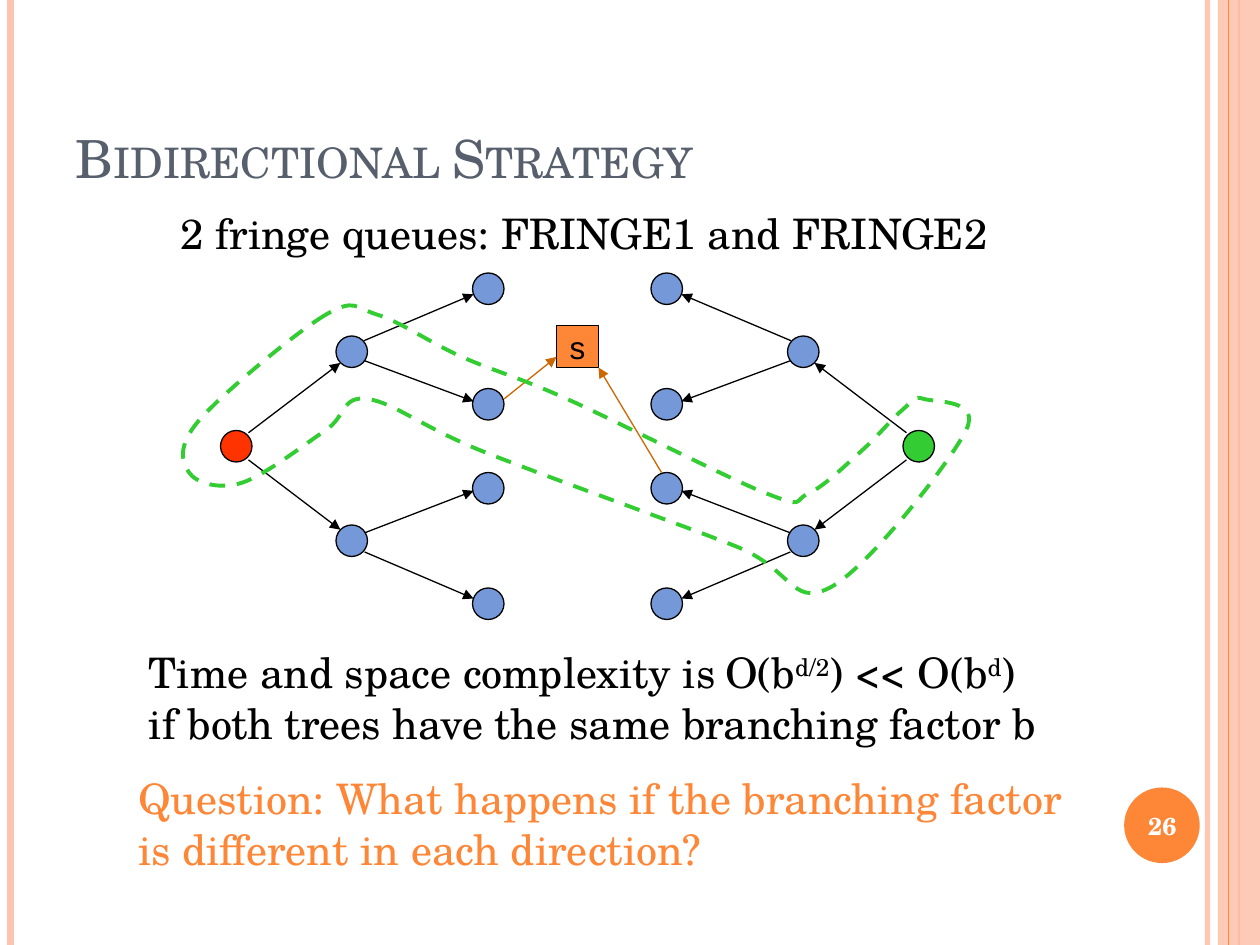
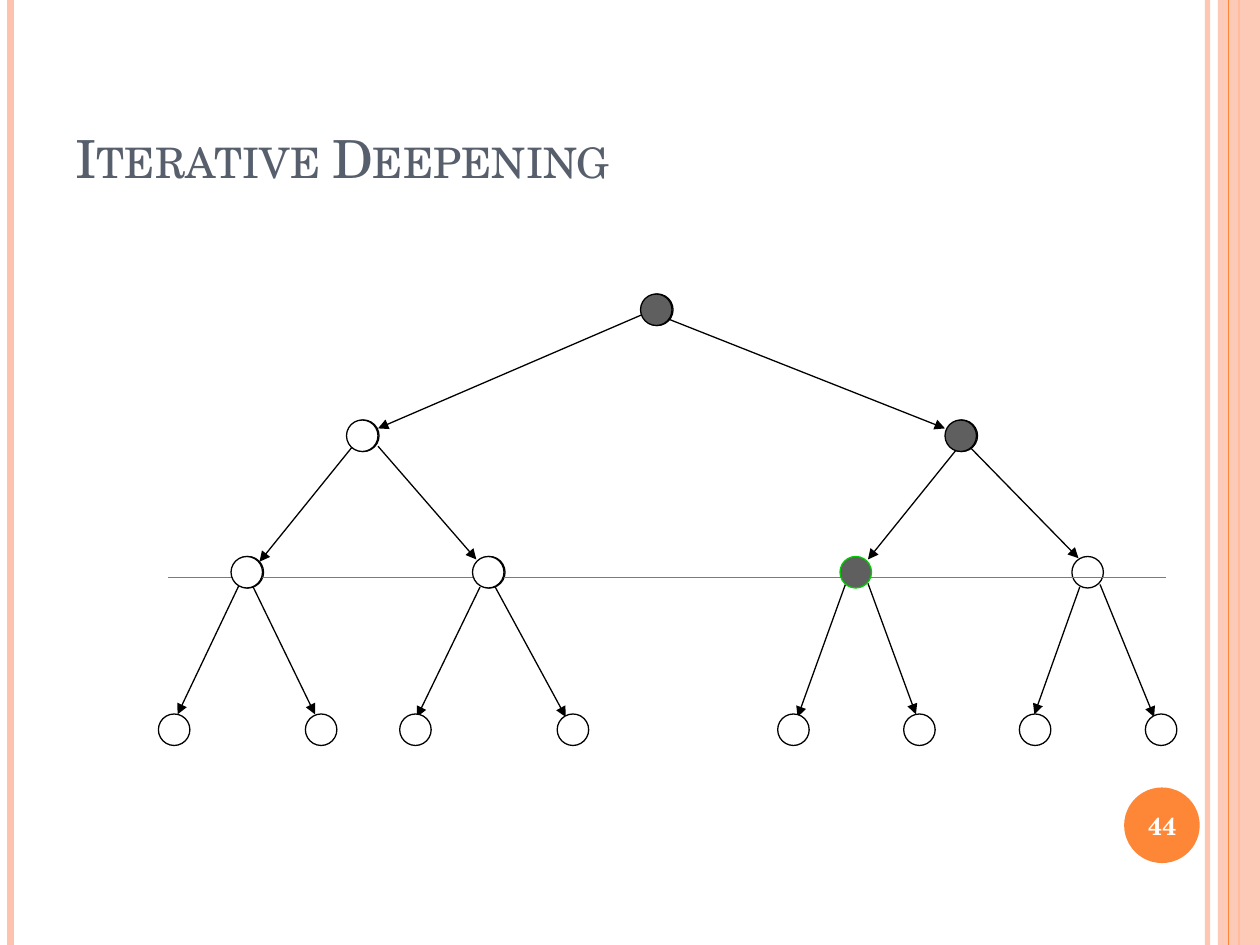
from dataclasses import dataclass
from typing import Optional

from lxml import etree
from pptx import Presentation
from pptx.dml.color import RGBColor
from pptx.enum import dml, shapes, text
from pptx.oxml.ns import qn
from pptx.util import Pt

BLACK = RGBColor(0, 0, 0)
WHITE = RGBColor(0xFF, 0xFF, 0xFF)
ORANGE = RGBColor(0xFE, 0x86, 0x37)
PEACH = RGBColor(0xFE, 0xC3, 0xAE)
SLATE = RGBColor(0x57, 0x5F, 0x6D)
BLUE = RGBColor(0x75, 0x98, 0xD9)
RED = RGBColor(0xFF, 0x33, 0x00)
GREEN = RGBColor(0x33, 0xCC, 0x33)
GOAL_GREEN = RGBColor(0x00, 0xCC, 0x00)
RUST = RGBColor(0xCC, 0x66, 0x00)
LIMIT_BROWN = RGBColor(0xD2, 0x61, 0x1C)
GRAY = RGBColor(0x5F, 0x5F, 0x5F)

SERIF = "TeX Gyre Schola"
SLIDE_W, SLIDE_H = 720, 540
RADIUS = 9
THIN = 0.75

Point = tuple[float, float]


@dataclass(frozen=True)
class Node:
    x: float
    y: float
    fill: Optional[RGBColor] = BLUE
    outline: RGBColor = BLACK


@dataclass(frozen=True)
class Rule:
    x: float
    color: RGBColor
    width: float
    opacity: int = 100


@dataclass(frozen=True)
class Part:
    text: str
    raised: bool = False
    size: Optional[float] = None


RULES = [Rule(690, PEACH, 3, 93), Rule(6, PEACH, 4.5), Rule(708, ORANGE, 1.5)]
BAND_RULE = Rule(702, ORANGE, THIN)

# Left half of the search space; the right half is its reflection.
MIRROR_X = 660
TREE_NODES = [Node(x, y) for x, ys in [(201, (201, 309)), (279, (165, 231, 279, 345))]
              for y in ys]
TREE_EDGES = [
    ((142, 247.3), (194.5, 207.4)), ((142, 262.8), (194.5, 302.7)),
    ((208, 194.7), (270.6, 168.2)), ((208, 206), (270.6, 229.3)),
    ((208.3, 304.5), (270.6, 280.5)), ((208.3, 315.4), (270.6, 342)),
]

LOOP_BOX = (100.8, 170, 460, 177)
LOOP_ANCHORS = [
    (186, 180), (114, 240), (108, 270), (138, 276), (186, 246), (210, 228),
    (276, 258), (420, 312), (474, 336), (552, 246), (528, 228), (516, 234),
    (492, 258), (462, 282), (438, 282), (324, 228), (264, 204), (216, 180),
]

# Visited nodes lie in front of the depth limit, the others behind it.
FRONT_NODES = [
    Node(375, 177, GRAY), Node(141, 327, WHITE), Node(207, 249, WHITE),
    Node(279, 327, WHITE), Node(549, 249, GRAY), Node(489, 327, GRAY, GOAL_GREEN),
]
BACK_NODES = [Node(621.5, 327, None)] + [
    Node(x, 417, WHITE) for x in (99.5, 183.5, 237.4, 327.4, 453.4, 525.4, 591.5, 663.5)]
ECHO_SHIFT = 0.6
DEEPENING_EDGES = [
    ((366.5, 180), (216, 244.8)), ((381.6, 182.2), (540, 244.8)),
    ((201.6, 255), (148.3, 321)), ((216, 255), (272.2, 319.7)),
    ((555, 256.3), (616.3, 319)), ((546.5, 257), (496, 319.7)),
    ((136.8, 334), (101.5, 408.2)), ((144.7, 335.5), (180, 408.2)),
    ((274.3, 335.5), (238.3, 409.7)), ((283, 335.5), (323.3, 409.7)),
    ((617, 335.5), (591.1, 408.2)), ((628.6, 334), (659.5, 409.7)),
    ((483.1, 334), (455.8, 409.7)), ((496, 333.4), (523.4, 408.2)),
]


def set_opacity(sp, percent: int) -> None:
    for color in sp._element.spPr.iter(qn("a:srgbClr")):
        etree.SubElement(color, qn("a:alpha")).set("val", str(percent * 1000))


def add_box(slide, kind, left: float, top: float, width: float, height: float,
            fill: Optional[RGBColor], outline: Optional[RGBColor] = None):
    sp = slide.shapes.add_shape(kind, Pt(left), Pt(top), Pt(width), Pt(height))
    sp.shadow.inherit = False
    if fill is None:
        sp.fill.background()
    else:
        sp.fill.solid()
        sp.fill.fore_color.rgb = fill
    if outline is None:
        sp.line.fill.background()
    else:
        sp.line.color.rgb = outline
        sp.line.width = Pt(THIN)
    return sp


def add_line(slide, start: Point, end: Point, color: RGBColor = BLACK,
             width: float = THIN, arrow: bool = False):
    line = slide.shapes.add_connector(
        shapes.MSO_CONNECTOR.STRAIGHT, *(Pt(v) for v in (*start, *end)))
    line.line.color.rgb = color
    line.line.width = Pt(width)
    spPr = line._element.spPr
    if arrow:
        etree.SubElement(spPr.find(qn("a:ln")), qn("a:tailEnd")).set("type", "triangle")
    etree.SubElement(spPr, qn("a:effectLst"))
    return line


def add_rule(slide, rule: Rule):
    line = add_line(slide, (rule.x, 0), (rule.x, SLIDE_H), rule.color, rule.width)
    if rule.opacity < 100:
        set_opacity(line, rule.opacity)
    return line


def add_node(slide, node: Node, shift: float = 0) -> None:
    add_box(slide, shapes.MSO_SHAPE.OVAL, node.x - RADIUS + shift, node.y - RADIUS,
            2 * RADIUS, 2 * RADIUS, node.fill, node.outline)


def style(p, size: float, color: RGBColor, name: str = SERIF, bold: bool = False) -> None:
    p.font.size = Pt(size)
    p.font.name = name
    p.font.color.rgb = color
    p.font.bold = bold


def add_text(slide, left: float, top: float, width: float, height: float,
             lines: list[list[Part]], color: RGBColor) -> None:
    tf = slide.shapes.add_textbox(Pt(left), Pt(top), Pt(width), Pt(height)).text_frame
    tf.word_wrap = False
    tf.auto_size = text.MSO_AUTO_SIZE.SHAPE_TO_FIT_TEXT
    p = tf.paragraphs[0]
    style(p, 24, color)
    for row, line in enumerate(lines):
        if row:
            p.add_line_break()
        for part in line:
            r = p.add_run()
            r.text = part.text
            if part.size:
                r.font.size = Pt(part.size)
            if part.raised:
                r._r.get_or_add_rPr().set("baseline", "30000")


def decorate_layout(layout, slide) -> None:
    """Draw the side bands and number disc, then hand them over to the layout."""
    title, *unused = layout.placeholders
    for placeholder in unused:
        layout.shapes.element.remove(placeholder.element)
    title.left, title.top, title.width, title.height = Pt(36), Pt(21.6), Pt(588), Pt(90)
    title.text_frame.vertical_anchor = text.MSO_ANCHOR.BOTTOM
    title.text_frame.auto_size = text.MSO_AUTO_SIZE.NONE

    parts = [add_rule(slide, rule) for rule in RULES]
    band = add_box(slide, shapes.MSO_SHAPE.RECTANGLE, 696, 0, SLIDE_W - 696, SLIDE_H, PEACH)
    set_opacity(band, 87)
    disc = add_box(slide, shapes.MSO_SHAPE.OVAL, 642.4, 450, 43.2, 43.2, ORANGE)
    parts += [band, add_rule(slide, BAND_RULE), disc]
    for number, part in enumerate(parts, 100):
        part._element.xpath(".//p:cNvPr")[0].set("id", str(number))
        layout.shapes.element.append(part._element)


def fill_frame(slide, title: str, number: int) -> None:
    slide.shapes.title.text = title
    p = slide.shapes.title.text_frame.paragraphs[0]
    p.alignment = text.PP_ALIGN.LEFT
    style(p, 30, SLATE)
    p._p.pPr.find(qn("a:defRPr")).set("cap", "small")

    tf = slide.shapes.add_textbox(Pt(640.2), Pt(451.4), Pt(48), Pt(41)).text_frame
    tf.word_wrap = True
    tf.vertical_anchor = text.MSO_ANCHOR.MIDDLE
    p = tf.paragraphs[0]
    p.text = str(number)
    p.alignment = text.PP_ALIGN.CENTER
    style(p, 14, WHITE, bold=True)


def smooth_outline(sp, anchors: list[Point], box: tuple[float, ...]) -> None:
    """Turn the outline into Bezier curves whose tangents follow the neighbours."""
    left, top, width, height = box
    sp.left, sp.top, sp.width, sp.height = (Pt(v) for v in box)
    outline = next(sp._element.spPr.iter(qn("a:path")))
    outline.set("w", str(Pt(width)))
    outline.set("h", str(Pt(height)))
    for child in list(outline):
        outline.remove(child)

    def draw(tag: str, *points: Point) -> None:
        step = etree.SubElement(outline, qn(tag))
        for x, y in points:
            pt = etree.SubElement(step, qn("a:pt"))
            pt.set("x", str(Pt(x - left)))
            pt.set("y", str(Pt(y - top)))

    draw("a:moveTo", anchors[0])
    for i, p1 in enumerate(anchors):
        p0, p2, p3 = (anchors[(i + k) % len(anchors)] for k in (-1, 1, 2))
        leave = tuple(b + (c - a) / 6 for a, b, c in zip(p0, p1, p2))
        arrive = tuple(c - (d - b) / 6 for b, c, d in zip(p1, p2, p3))
        draw("a:cubicBezTo", leave, arrive, p2)
    draw("a:close")


def add_dashed_loop(slide) -> None:
    first, *rest = [(Pt(x), Pt(y)) for x, y in LOOP_ANCHORS]
    builder = slide.shapes.build_freeform(*first)
    builder.add_line_segments(rest, close=True)
    sp = builder.convert_to_shape()
    smooth_outline(sp, LOOP_ANCHORS, LOOP_BOX)
    sp.shadow.inherit = False
    sp.fill.background()
    sp.line.color.rgb = GREEN
    sp.line.width = Pt(2.25)
    sp.line.dash_style = dml.MSO_LINE.DASH


def draw_search_tree(slide, root_fill: RGBColor, mirrored: bool) -> None:
    def place(x: float) -> float:
        return MIRROR_X - x if mirrored else x

    for node in [*TREE_NODES, Node(135, 255, root_fill)]:
        add_node(slide, Node(place(node.x), node.y, node.fill))
    for (x1, y1), (x2, y2) in TREE_EDGES:
        add_line(slide, (place(x1), y1), (place(x2), y2), arrow=True)


def draw_bidirectional(slide) -> None:
    draw_search_tree(slide, GREEN, mirrored=True)
    draw_search_tree(slide, RED, mirrored=False)
    add_text(slide, 96, 115.2, 481, 36,
             [[Part("2 fringe queues: FRINGE1 and FRINGE2")]], BLACK)

    meeting = add_box(slide, shapes.MSO_SHAPE.RECTANGLE, 318, 186, 24, 24, ORANGE, BLACK)
    tf = meeting.text_frame
    tf.word_wrap = False
    tf.vertical_anchor = text.MSO_ANCHOR.MIDDLE
    p = tf.paragraphs[0]
    p.text = "s"
    p.alignment = text.PP_ALIGN.CENTER
    style(p, 18, BLACK, "Arial")
    for start, end in [((288, 228), (318, 204)), ((378, 270), (342, 210))]:
        add_line(slide, start, end, RUST, arrow=True)

    add_text(slide, 78, 366, 529, 65.5, [
        [Part("Time and space complexity is"), Part(" ", size=20), Part("O(b"),
         Part("d/2", raised=True), Part(") << O(b"), Part("d", raised=True), Part(") ")],
        [Part("if both trees have the same branching factor b")]], BLACK)
    add_dashed_loop(slide)
    add_text(slide, 72, 438, 554, 65.5, [
        [Part("Question: What happens if the branching factor ")],
        [Part("is different in each direction?")]], ORANGE)


def draw_deepening(slide) -> None:
    for start, end in DEEPENING_EDGES:
        add_line(slide, start, end, arrow=True)
    for node in BACK_NODES:
        add_node(slide, node)
    for node in FRONT_NODES[:-1]:
        add_node(slide, Node(node.x, node.y, WHITE), ECHO_SHIFT)
    add_line(slide, (96, 330), (666, 330), LIMIT_BROWN)
    for node in FRONT_NODES:
        add_node(slide, node)


def main() -> None:
    prs = Presentation()
    prs.slide_width, prs.slide_height = Pt(SLIDE_W), Pt(SLIDE_H)
    layout = prs.slide_layouts[5]
    pages = [("Bidirectional Strategy", 26, draw_bidirectional),
             ("Iterative Deepening", 44, draw_deepening)]
    for i, (title, number, draw) in enumerate(pages):
        slide = prs.slides.add_slide(layout)
        if i == 0:
            decorate_layout(layout, slide)
        fill_frame(slide, title, number)
        draw(slide)
    prs.save("out.pptx")


if __name__ == "__main__":
    main()
